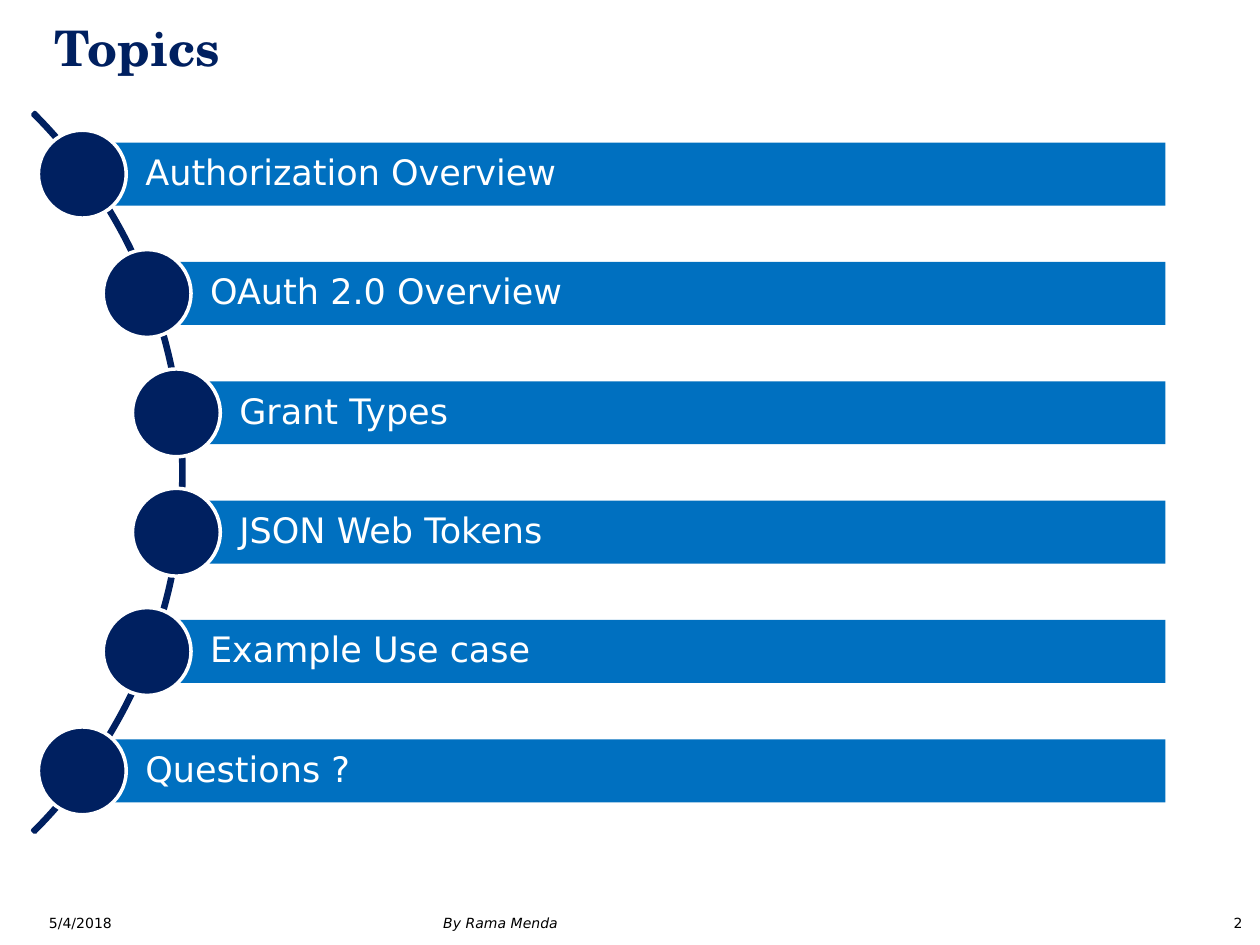
"""Build a topics slide with bars placed along a thin arc."""
from math import sqrt

from pptx import Presentation
from pptx.dml.color import RGBColor
from pptx.enum.shapes import MSO_SHAPE
from pptx.enum.text import MSO_ANCHOR, PP_ALIGN
from pptx.util import Pt

RECTANGLE, OVAL, ARC = MSO_SHAPE.RECTANGLE, MSO_SHAPE.OVAL, MSO_SHAPE.BLOCK_ARC
LEFT, RIGHT, MIDDLE = PP_ALIGN.LEFT, PP_ALIGN.RIGHT, MSO_ANCHOR.MIDDLE

TITLE = "Topics"
TOPICS = ["Authorization Overview", "OAuth 2.0 Overview", "Grant Types",
          "JSON Web Tokens", "Example Use case", "Questions ?"]
FOOTERS = [("5/4/2018", 20.9, 167.8, LEFT, False),
           ("2", 681.1, 36, RIGHT, False),
           ("By Rama Menda", 246.2, 228.2, LEFT, True)]

NAVY, BLUE, WHITE, BLACK = "002060", "0070C0", "FFFFFF", "000000"
BODY_FONT, TITLE_FONT = "DejaVu Sans", "TeX Gyre Schola"
CENTER_X, CENTER_Y = -185.8, 270
ARC_SIZE, TOPIC_RADIUS = 581.8, 288.6
STEP, BAR_HEIGHT, BAR_RIGHT, DOT_SIZE = 68.2, 36, 666, 50.2


def color(value):
    return RGBColor.from_string(value)


def box(left, top, width, height):
    return [Pt(round(length, 2)) for length in (left, top, width, height)]


def write(shape, text, size, value, font=BODY_FONT, align=LEFT, spacing=1.0,
          insets=(7.2, 0, 7.2, 0), **styles):
    frame = shape.text_frame
    frame.text = text
    sides = ("margin_left", "margin_top", "margin_right", "margin_bottom")
    formats = dict(zip(sides, map(Pt, insets)), word_wrap=True, vertical_anchor=MIDDLE)
    for name, setting in formats.items():
        setattr(frame, name, setting)
    paragraph = frame.paragraphs[0]
    paragraph.alignment, paragraph.line_spacing = align, spacing
    run_font = paragraph.runs[0].font
    for name, setting in dict(name=font, size=Pt(size), **styles).items():
        setattr(run_font, name, setting)
    run_font.color.rgb = color(value)


def draw(slide, kind, place, fill, line=None):
    shape = slide.shapes.add_shape(kind, *place)
    shape.shadow.inherit = False
    shape.fill.solid()
    shape.fill.fore_color.rgb = color(fill)
    if line:
        shape.line.color.rgb = color(line)
        shape.line.width = Pt(2)
    else:
        shape.line.fill.background()
    return shape


presentation = Presentation()
presentation.slide_width, presentation.slide_height = Pt(720), Pt(540)
slide = presentation.slides.add_slide(presentation.slide_layouts[5])

title = slide.shapes.title
title.left, title.top, title.width, title.height = box(23.8, 3.6, 678.2, 44.6)
write(title, TITLE, 28, NAVY, TITLE_FONT, spacing=1.05, bold=True)

for text, left, width, align, italic in FOOTERS:
    footer = slide.shapes.add_textbox(*box(left, 522, width, 10.8))
    write(footer, text, 8, BLACK, align=align, italic=italic)

arc = draw(slide, ARC, box(CENTER_X - ARC_SIZE / 2, CENTER_Y - ARC_SIZE / 2,
                           ARC_SIZE, ARC_SIZE), NAVY, NAVY)
for index, adjustment in enumerate((189, 27, 0.003)):
    arc.adjustments[index] = adjustment

for index, topic in enumerate(TOPICS):
    offset = (index - (len(TOPICS) - 1) / 2) * STEP
    x, y = CENTER_X + sqrt(TOPIC_RADIUS ** 2 - offset ** 2), CENTER_Y + offset
    bar = draw(slide, RECTANGLE, box(x, y - BAR_HEIGHT / 2, BAR_RIGHT - x, BAR_HEIGHT), BLUE)
    write(bar, topic, 20, WHITE, spacing=0.9, insets=(36, 4, 4, 4))
    draw(slide, OVAL, box(x - DOT_SIZE / 2, y - DOT_SIZE / 2, DOT_SIZE, DOT_SIZE), NAVY, WHITE)

presentation.save("out.pptx")
